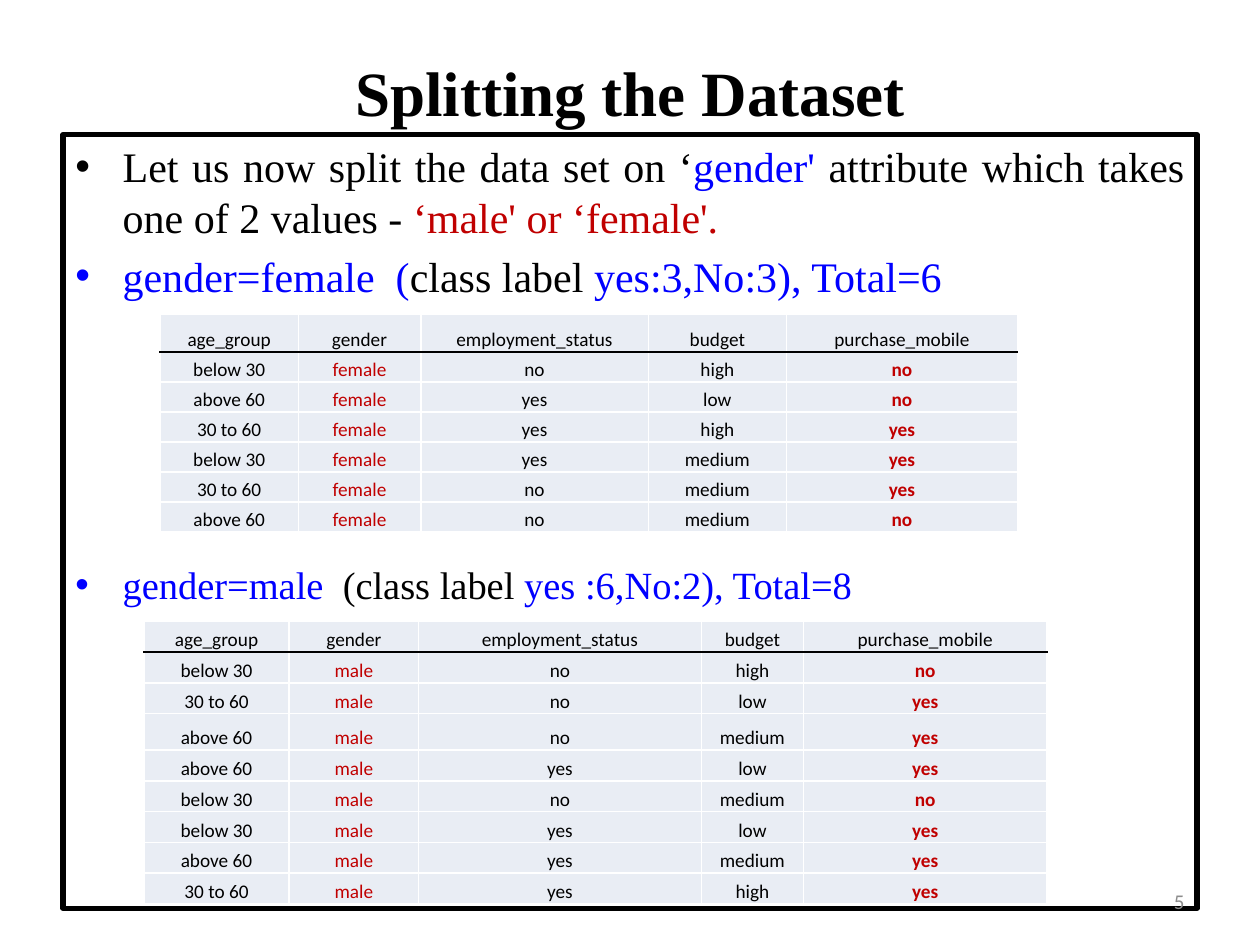
from dataclasses import dataclass
from typing import NamedTuple

from lxml.etree import SubElement
from pptx import Presentation
from pptx.dml.color import RGBColor
from pptx.enum.shapes import MSO_SHAPE
from pptx.enum.text import MSO_ANCHOR, PP_ALIGN
from pptx.oxml.ns import qn
from pptx.util import Pt

BLACK, WHITE, BLUE, RED = "000000", "FFFFFF", "0000FF", "C00000"
GRAY, CELL_FILL = "8C8C8C", "E9EDF4"
SERIF, SANS = "Times New Roman", "Calibri"
HEADINGS = ("age_group", "gender", "employment_status", "budget", "purchase_mobile")


class TextRun(NamedTuple):
    text: str
    color: str = BLACK


@dataclass
class Bullet:
    runs: list[TextRun]
    size: float = 24
    space_before: float = 0
    alignment: PP_ALIGN = PP_ALIGN.JUSTIFY


@dataclass
class GenderTable:
    gender: str
    left: float
    top: float
    column_widths: list[float]
    row_heights: list[float]
    records: list[tuple[str, str, str, str]]  # age, employment, budget, purchase


BULLETS = [
    Bullet([
        TextRun("Let us now split the data set on ‘"),
        TextRun("gender'", BLUE),
        TextRun(" attribute which takes one of 2 values - "),
        TextRun("‘male' or ‘female'.", RED),
    ]),
    Bullet([
        TextRun("gender=female  (", BLUE),
        TextRun("class label "),
        TextRun("yes:3,No:3), Total=6", BLUE),
    ], space_before=4.8),
    # The space before this bullet leaves room for the first table
    Bullet([
        TextRun("gender=male  ", BLUE),
        TextRun("(class label "),
        TextRun("yes :6,No:2), Total=8", BLUE),
    ], size=22, space_before=149, alignment=PP_ALIGN.LEFT),
]

TABLES = [
    GenderTable("female", 91.5, 179.5, [79, 70, 130, 79, 132], [21.6] + [17.15] * 6, [
        ("below 30", "no", "high", "no"),
        ("above 60", "yes", "low", "no"),
        ("30 to 60", "yes", "high", "yes"),
        ("below 30", "yes", "medium", "yes"),
        ("30 to 60", "no", "medium", "yes"),
        ("above 60", "no", "medium", "no"),
    ]),
    GenderTable("male", 82.25, 355, [83, 74, 161.5, 58.5, 139],
                [17.6] * 3 + [20.9] + [17.6] * 5, [
        ("below 30", "no", "high", "no"),
        ("30 to 60", "no", "low", "yes"),
        ("above 60", "no", "medium", "yes"),
        ("above 60", "yes", "low", "yes"),
        ("below 30", "no", "medium", "no"),
        ("below 30", "yes", "low", "yes"),
        ("above 60", "yes", "medium", "yes"),
        ("30 to 60", "yes", "high", "yes"),
    ]),
]


def rgb(color: str) -> RGBColor:
    return RGBColor.from_string(color)


def set_attributes(target, values: dict) -> None:
    for name, value in values.items():
        setattr(target, name, value)


def add_run(paragraph, text: str, size: float, font_name: str,
            color: str = BLACK, bold: bool = False) -> None:
    run = paragraph.add_run()
    run.text = text
    set_attributes(run.font, {"size": Pt(size), "name": font_name, "bold": bold})
    run.font.color.rgb = rgb(color)


def add_label(slide, box: tuple, text: str, alignment: PP_ALIGN, **run_format) -> None:
    shape = slide.shapes.add_textbox(*map(Pt, box))
    set_attributes(shape.text_frame,
                   {"word_wrap": True, "vertical_anchor": MSO_ANCHOR.MIDDLE})
    paragraph = shape.text_frame.paragraphs[0]
    paragraph.alignment = alignment
    add_run(paragraph, text, **run_format)


def add_bullet(paragraph, bullet: Bullet) -> None:
    properties = paragraph._p.get_or_add_pPr()
    properties.set("marL", str(Pt(27)))
    properties.set("indent", str(-Pt(27)))
    SubElement(properties, qn("a:buFont"), typeface="Arial")
    SubElement(properties, qn("a:buChar"), char="•")
    set_attributes(paragraph, {"alignment": bullet.alignment,
                               "space_before": Pt(bullet.space_before)})
    for text, color in bullet.runs:
        add_run(paragraph, text, bullet.size, SERIF, color)


def add_body(slide, bullets: list[Bullet]) -> None:
    shape = slide.shapes.add_shape(MSO_SHAPE.RECTANGLE, Pt(36), Pt(77), Pt(648), Pt(442))
    shape.shadow.inherit = False
    shape.fill.background()
    shape.line.color.rgb = rgb(BLACK)
    shape.line.width = Pt(3)
    frame = shape.text_frame
    set_attributes(frame, {"word_wrap": True, "vertical_anchor": MSO_ANCHOR.TOP})
    for index, bullet in enumerate(bullets):
        add_bullet(frame.add_paragraph() if index else frame.paragraphs[0], bullet)


def set_borders(cell, top: str, bottom: str) -> None:
    properties = cell._tc.get_or_add_tcPr()
    for side, color in (("L", WHITE), ("R", WHITE), ("T", top), ("B", bottom)):
        line = SubElement(properties, qn(f"a:ln{side}"), w=str(Pt(1)))
        SubElement(SubElement(line, qn("a:solidFill")), qn("a:srgbClr"), val=color)


def fill_cell(cell, text: str, row: int, column: int) -> None:
    set_borders(cell, top=BLACK if row == 1 else WHITE, bottom=BLACK if row == 0 else WHITE)
    cell.fill.solid()
    cell.fill.fore_color.rgb = rgb(CELL_FILL)
    set_attributes(cell, {
        "vertical_anchor": MSO_ANCHOR.BOTTOM,
        "margin_left": Pt(0.72), "margin_right": Pt(0.72),
        "margin_top": Pt(0.72), "margin_bottom": Pt(0),
    })
    paragraph = cell.text_frame.paragraphs[0]
    paragraph.alignment = PP_ALIGN.CENTER
    highlighted = row > 0 and column in (1, 4)
    add_run(paragraph, text, 11, SANS, RED if highlighted else BLACK,
            bold=highlighted and column == 4)


def add_gender_table(slide, data: GenderTable) -> None:
    rows = [HEADINGS] + [(age, data.gender, *rest) for age, *rest in data.records]
    table = slide.shapes.add_table(
        len(rows), len(HEADINGS), Pt(data.left), Pt(data.top),
        Pt(sum(data.column_widths)), Pt(sum(data.row_heights))).table
    set_attributes(table, {"first_row": False, "horz_banding": False})
    for column, width in zip(table.columns, data.column_widths):
        column.width = Pt(width)
    for row, height in zip(table.rows, data.row_heights):
        row.height = Pt(height)
    for row_index, values in enumerate(rows):
        for column_index, text in enumerate(values):
            fill_cell(table.cell(row_index, column_index), text, row_index, column_index)


def main() -> None:
    presentation = Presentation()
    set_attributes(presentation, {"slide_width": Pt(720), "slide_height": Pt(540)})
    slide = presentation.slides.add_slide(presentation.slide_layouts[6])

    # Title, framed bullets and page number
    add_label(slide, (36, 21.6, 648, 61.2), "Splitting the Dataset", PP_ALIGN.CENTER,
              size=36, font_name=SERIF, bold=True)
    add_body(slide, BULLETS)
    add_label(slide, (516, 500.5, 168, 28.8), "5", PP_ALIGN.RIGHT,
              size=12, font_name=SANS, color=GRAY)

    # One table for each gender
    for data in TABLES:
        add_gender_table(slide, data)

    presentation.save("out.pptx")


if __name__ == "__main__":
    main()
